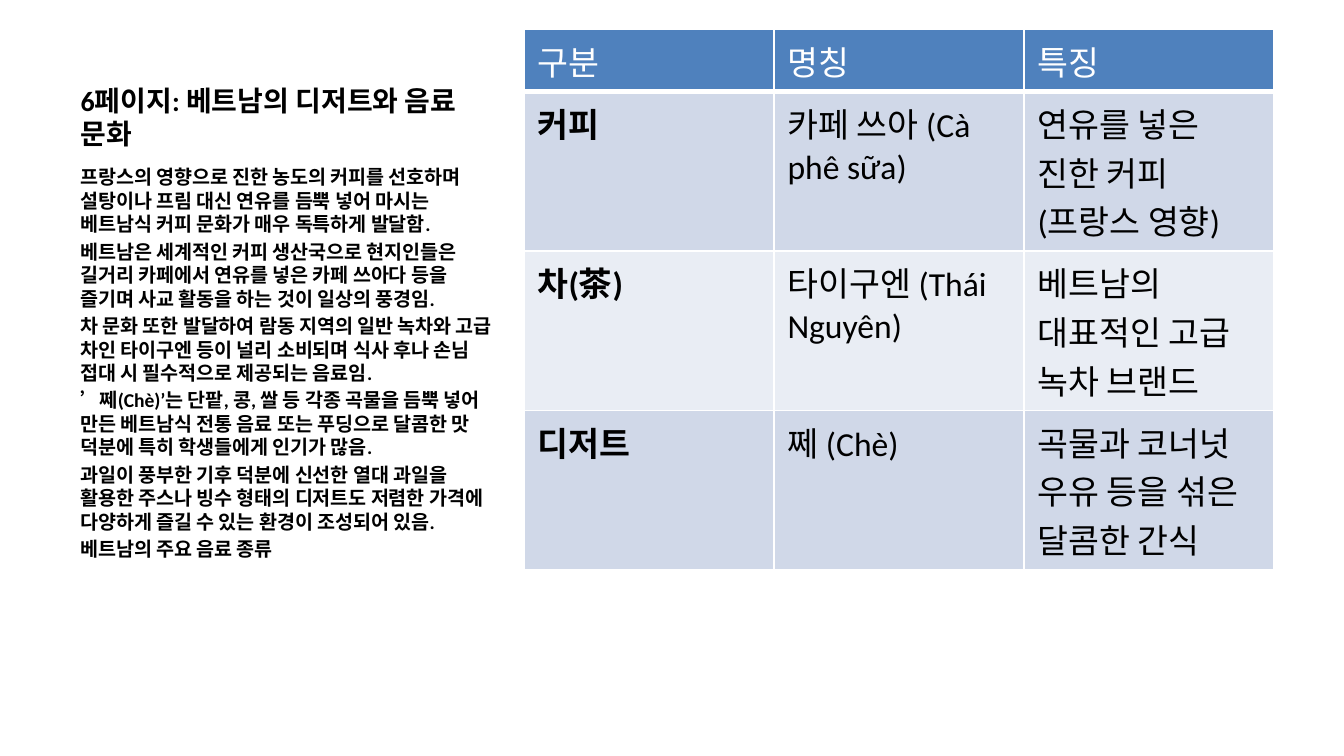
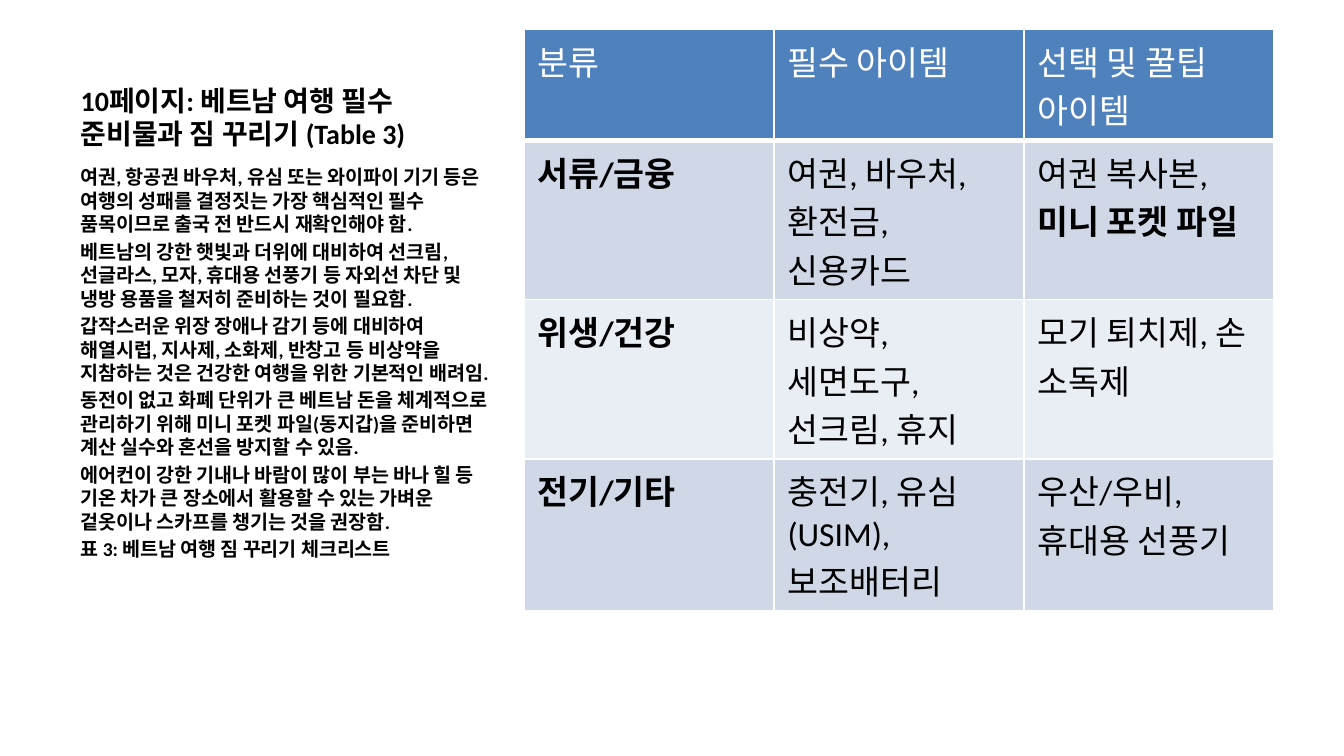
from dataclasses import dataclass

import pptx
import pptx.dml.color
import pptx.enum.text
import pptx.oxml
import pptx.oxml.ns
import pptx.util
from pptx.util import Inches


@dataclass(frozen=True)
class Theme:
    font: str = "Calibri"
    ink: str = "000000"
    paper: str = "FFFFFF"
    header: str = "4F81BD"
    bands: tuple[str, str] = ("D0D8E8", "E9EDF4")
    title_size: float = 15
    body_size: float = 10.5
    table_size: float = 18
    paragraph_gap: float = 2.1
    rule: float = 1
    header_rule: float = 3


@dataclass(frozen=True)
class Area:
    left: float
    top: float
    width: float
    height: float

    def lengths(self) -> tuple:
        return tuple(Inches(v) for v in (self.left, self.top, self.width, self.height))


@dataclass(frozen=True)
class Entry:
    text: str
    emphasis: str = ""


@dataclass(frozen=True)
class Page:
    title: str
    notes: tuple[str, ...]
    headings: tuple[str, ...]
    rows: tuple[tuple[Entry, ...], ...]


THEME = Theme()
TITLE_AREA = Area(0.5, 0.22, 3.29, 0.95)
BODY_AREA = Area(0.5, 1.18, 3.29, 3.85)
TABLE_AREA = Area(3.9, 0.22, 5.58, 4.79)
TITLE_ONLY = 5

PAGES = (
    Page(
        "6페이지: 베트남의 디저트와 음료 문화",
        (
            "프랑스의 영향으로 진한 농도의 커피를 선호하며 설탕이나 프림 대신 연유를 듬뿍 넣어 마시는 베트남식 커피 문화가 매우 독특하게 발달함.",
            "베트남은 세계적인 커피 생산국으로 현지인들은 길거리 카페에서 연유를 넣은 카페 쓰아다 등을 즐기며 사교 활동을 하는 것이 일상의 풍경임.",
            "차 문화 또한 발달하여 람동 지역의 일반 녹차와 고급 차인 타이구엔 등이 널리 소비되며 식사 후나 손님 접대 시 필수적으로 제공되는 음료임.",
            "’쩨(Chè)’는 단팥, 콩, 쌀 등 각종 곡물을 듬뿍 넣어 만든 베트남식 전통 음료 또는 푸딩으로 달콤한 맛 덕분에 특히 학생들에게 인기가 많음.",
            "과일이 풍부한 기후 덕분에 신선한 열대 과일을 활용한 주스나 빙수 형태의 디저트도 저렴한 가격에 다양하게 즐길 수 있는 환경이 조성되어 있음.",
            "베트남의 주요 음료 종류",
        ),
        ("구분", "명칭", "특징"),
        (
            (Entry("", "커피"), Entry("카페 쓰아 (Cà phê sữa)"), Entry("연유를 넣은 진한 커피 (프랑스 영향)")),
            (Entry("", "차(茶)"), Entry("타이구엔 (Thái Nguyên)"), Entry("베트남의 대표적인 고급 녹차 브랜드")),
            (Entry("", "디저트"), Entry("쩨 (Chè)"), Entry("곡물과 코너넛 우유 등을 섞은 달콤한 간식")),
        ),
    ),
    Page(
        "10페이지: 베트남 여행 필수 준비물과 짐 꾸리기 (Table 3)",
        (
            "여권, 항공권 바우처, 유심 또는 와이파이 기기 등은 여행의 성패를 결정짓는 가장 핵심적인 필수 품목이므로 출국 전 반드시 재확인해야 함.",
            "베트남의 강한 햇빛과 더위에 대비하여 선크림, 선글라스, 모자, 휴대용 선풍기 등 자외선 차단 및 냉방 용품을 철저히 준비하는 것이 필요함.",
            "갑작스러운 위장 장애나 감기 등에 대비하여 해열시럽, 지사제, 소화제, 반창고 등 비상약을 지참하는 것은 건강한 여행을 위한 기본적인 배려임.",
            "동전이 없고 화폐 단위가 큰 베트남 돈을 체계적으로 관리하기 위해 미니 포켓 파일(동지갑)을 준비하면 계산 실수와 혼선을 방지할 수 있음.",
            "에어컨이 강한 기내나 바람이 많이 부는 바나 힐 등 기온 차가 큰 장소에서 활용할 수 있는 가벼운 겉옷이나 스카프를 챙기는 것을 권장함.",
            "표 3: 베트남 여행 짐 꾸리기 체크리스트",
        ),
        ("분류", "필수 아이템", "선택 및 꿀팁 아이템"),
        (
            (Entry("", "서류/금융"), Entry("여권, 바우처, 환전금, 신용카드"), Entry("여권 복사본, ", "미니 포켓 파일")),
            (Entry("", "위생/건강"), Entry("비상약, 세면도구, 선크림, 휴지"), Entry("모기 퇴치제, 손 소독제")),
            (Entry("", "전기/기타"), Entry("충전기, 유심(USIM), 보조배터리"), Entry("우산/우비, 휴대용 선풍기")),
        ),
    ),
)


def color(value: str) -> pptx.dml.color.RGBColor:
    return pptx.dml.color.RGBColor.from_string(value)


def style_run(run, size: float, ink: str, bold: bool) -> None:
    run.font.name = THEME.font
    run.font.size = pptx.util.Pt(size)
    run.font.bold = bold
    run.font.color.rgb = color(ink)


def style_frame(frame, size: float, gap: float) -> None:
    frame.word_wrap = True
    frame.auto_size = pptx.enum.text.MSO_AUTO_SIZE.NONE
    for paragraph in frame.paragraphs:
        paragraph.alignment = pptx.enum.text.PP_ALIGN.LEFT
        paragraph.space_before = pptx.util.Pt(gap)
        for run in paragraph.runs:
            style_run(run, size, THEME.ink, True)


def draw_title(slide, text: str) -> None:
    title = slide.shapes.title
    title.left, title.top, title.width, title.height = TITLE_AREA.lengths()
    title.text_frame.text = text
    title.text_frame.vertical_anchor = pptx.enum.text.MSO_ANCHOR.BOTTOM
    style_frame(title.text_frame, THEME.title_size, 0)


def draw_notes(slide, notes: tuple[str, ...]) -> None:
    frame = slide.shapes.add_textbox(*BODY_AREA.lengths()).text_frame
    frame.text = "\n".join(notes)
    style_frame(frame, THEME.body_size, THEME.paragraph_gap)


def rule_header(cell) -> None:
    properties = cell._tc.get_or_add_tcPr()
    for side, width in zip("LRTB", (THEME.rule,) * 3 + (THEME.header_rule,)):
        properties.append(pptx.oxml.parse_xml(
            f'<a:ln{side} {pptx.oxml.ns.nsdecls("a")} w="{pptx.util.Pt(width)}">'
            f'<a:solidFill><a:srgbClr val="{THEME.paper}"/></a:solidFill></a:ln{side}>'
        ))


def draw_cell(cell, entry: Entry, fill: str, ink: str) -> None:
    cell.fill.solid()
    cell.fill.fore_color.rgb = color(fill)
    paragraph = cell.text_frame.paragraphs[0]
    for text, bold in ((entry.text, False), (entry.emphasis, True)):
        if text:
            run = paragraph.add_run()
            run.text = text
            style_run(run, THEME.table_size, ink, bold)


def draw_table(slide, page: Page) -> None:
    frame = slide.shapes.add_table(
        len(page.rows) + 1, len(page.headings), *TABLE_AREA.lengths()
    )
    table = frame.table
    for row in table.rows:
        row.height = Inches(0)
    frame.height = Inches(TABLE_AREA.height)
    for column, heading in enumerate(page.headings):
        cell = table.cell(0, column)
        rule_header(cell)
        draw_cell(cell, Entry(heading), THEME.header, THEME.paper)
    for index, entries in enumerate(page.rows):
        band = THEME.bands[index % len(THEME.bands)]
        for column, entry in enumerate(entries):
            draw_cell(table.cell(index + 1, column), entry, band, THEME.ink)


def main() -> None:
    deck = pptx.Presentation()
    deck.slide_width = Inches(10)
    deck.slide_height = deck.slide_width * 9 // 16
    for page in PAGES:
        slide = deck.slides.add_slide(deck.slide_layouts[TITLE_ONLY])
        slide.background.fill.solid()
        slide.background.fill.fore_color.rgb = color(THEME.paper)
        draw_title(slide, page.title)
        draw_notes(slide, page.notes)
        draw_table(slide, page)
    deck.save("out.pptx")


if __name__ == "__main__":
    main()
